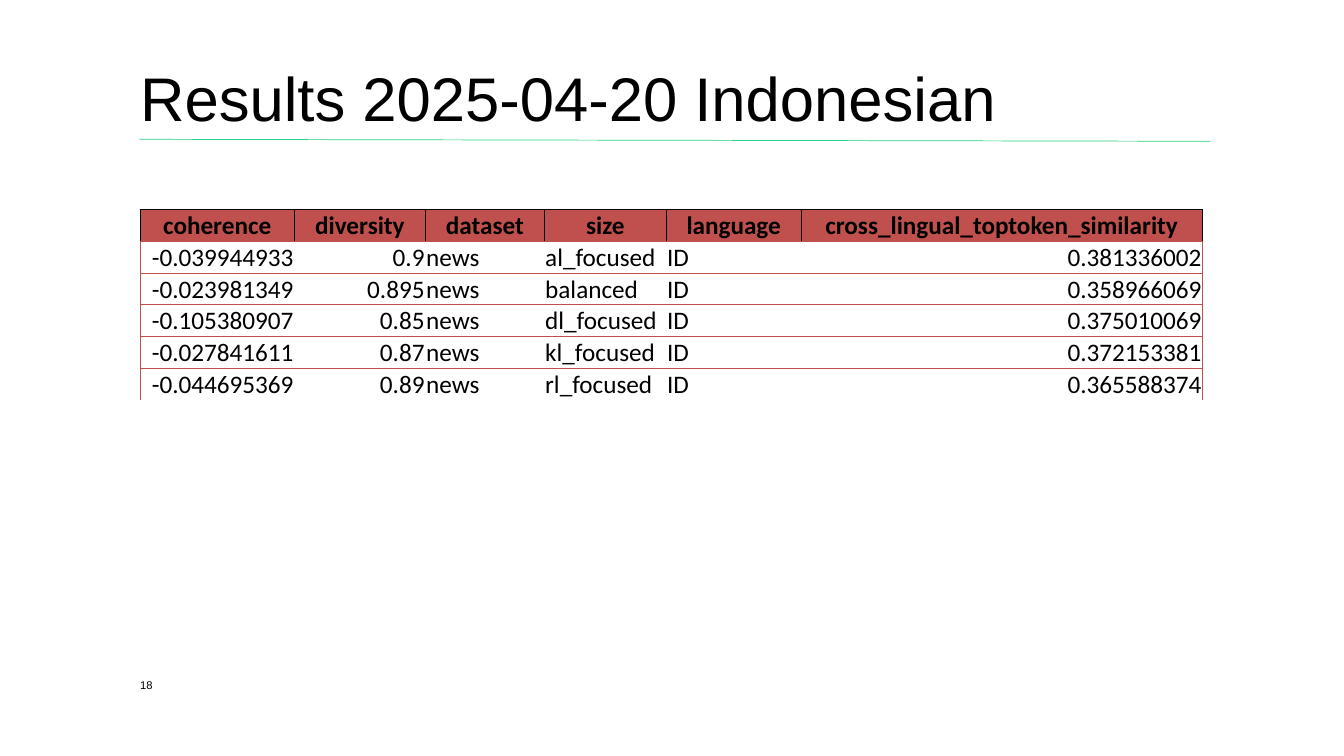
from dataclasses import dataclass

from lxml.etree import SubElement
from pptx import Presentation
from pptx.dml.color import RGBColor
from pptx.enum.shapes import MSO_CONNECTOR
from pptx.enum.text import MSO_ANCHOR, MSO_AUTO_SIZE, PP_ALIGN
from pptx.oxml.ns import qn
from pptx.util import Cm, Pt


@dataclass(frozen=True)
class Theme:
    """Colours, fonts and sizes of the slide."""

    ink: str = "000000"
    rule: str = "26D07C"
    accent: str = "C0504D"
    heading_font: str = "Arial"
    table_font: str = "Calibri"
    title_size: float = 44
    table_size: float = 18
    number_size: float = 8
    line_width: float = 0.5


@dataclass(frozen=True)
class Box:
    """A rectangle in centimetres."""

    left: float
    top: float
    width: float
    height: float

    def lengths(self):
        """Return the four measures as lengths."""
        return Cm(self.left), Cm(self.top), Cm(self.width), Cm(self.height)


THEME = Theme()
NO_STYLE = "{2D5ABB26-0587-4C30-8999-92F81FD0307C}"
COLUMNS = {
    "coherence": 3.89,
    "diversity": 3.3,
    "dataset": 3,
    "size": 3.07,
    "language": 3.4,
    "cross_lingual_toptoken_similarity": 10.11,
}
RIGHT_ALIGNED = {"coherence", "diversity", "cross_lingual_toptoken_similarity"}
RESULTS = [
    ("-0.039944933", "0.9", "news", "al_focused", "ID", "0.381336002"),
    ("-0.023981349", "0.895", "news", "balanced", "ID", "0.358966069"),
    ("-0.105380907", "0.85", "news", "dl_focused", "ID", "0.375010069"),
    ("-0.027841611", "0.87", "news", "kl_focused", "ID", "0.372153381"),
    ("-0.044695369", "0.89", "news", "rl_focused", "ID", "0.365588374"),
]


def write(frame, text, font, size, align=PP_ALIGN.LEFT, bold=False):
    """Fill a text frame with one formatted paragraph."""
    frame.text = text
    para = frame.paragraphs[0]
    para.alignment = align
    for span in para.runs:
        span.font.name = font
        span.font.size = Pt(size)
        span.font.bold = bold
        span.font.color.rgb = RGBColor.from_string(THEME.ink)


def fit_frame(frame):
    """Remove the margins and anchor the text at the bottom."""
    frame.margin_left = frame.margin_top = frame.margin_right = frame.margin_bottom = 0
    frame.vertical_anchor = MSO_ANCHOR.BOTTOM
    frame.auto_size = MSO_AUTO_SIZE.NONE
    frame.word_wrap = True


def add_title(page, box, text):
    """Place the title with the thin rule below it."""
    rule = page.shapes.add_connector(
        MSO_CONNECTOR.STRAIGHT,
        Cm(box.left - 0.02),
        Cm(box.top + 2.49),
        Cm(box.left + box.width),
        Cm(box.top + 2.54),
    )
    rule.line.color.rgb = RGBColor.from_string(THEME.rule)
    rule.line.width = Pt(THEME.line_width)
    SubElement(rule.element.spPr, qn("a:effectLst"))

    title = page.shapes.title
    title.left, title.top, title.width, title.height = box.lengths()
    fit_frame(title.text_frame)
    write(title.text_frame, text, THEME.heading_font, THEME.title_size)
    title.text_frame.paragraphs[0].line_spacing = 0.9


def add_page_number(page, box, text):
    """Place the page number."""
    frame = page.shapes.add_textbox(*box.lengths()).text_frame
    fit_frame(frame)
    write(frame, text, THEME.heading_font, THEME.number_size)


def set_borders(cell, borders):
    """Draw the cell sides named L, R, T and B in the given colours."""
    properties = cell._tc.get_or_add_tcPr()
    for side in "LRTB":
        if side in borders:
            line = SubElement(properties, qn(f"a:ln{side}"), w=str(Pt(THEME.line_width)))
            fill = SubElement(line, qn("a:solidFill"))
            SubElement(fill, qn("a:srgbClr"), val=borders[side])


def body_borders(row, column):
    """Return the sides drawn for a cell below the header."""
    borders = {"T": THEME.accent}
    if row < len(RESULTS):
        borders["B"] = THEME.accent
    if column == 0:
        borders["L"] = THEME.accent
    if column == len(COLUMNS) - 1:
        borders["R"] = THEME.accent
    return borders


def format_cell(cell, text, row, column, name):
    """Write and style one table cell."""
    cell.margin_left = cell.margin_top = cell.margin_right = Cm(0.02)
    cell.margin_bottom = 0
    header = row == 0
    if header:
        align = PP_ALIGN.CENTER
        set_borders(cell, {**dict.fromkeys("LRT", THEME.ink), "B": THEME.accent})
        cell.fill.solid()
        cell.fill.fore_color.rgb = RGBColor.from_string(THEME.accent)
    else:
        align = PP_ALIGN.RIGHT if name in RIGHT_ALIGNED else PP_ALIGN.LEFT
        cell.vertical_anchor = MSO_ANCHOR.BOTTOM
        set_borders(cell, body_borders(row, column))
        cell.fill.background()
    write(cell.text_frame, text, THEME.table_font, THEME.table_size, align, header)


def add_results(page, box):
    """Place the results table in its box."""
    rows = [tuple(COLUMNS), *RESULTS]
    holder = page.shapes.add_table(len(rows), len(COLUMNS), *box.lengths())
    next(holder.element.iter(qn("a:tableStyleId"))).text = NO_STYLE
    table = holder.table
    table.first_row = table.horz_banding = False
    for column, width in zip(table.columns, COLUMNS.values()):
        column.width = Cm(width)
    for row, values in enumerate(rows):
        table.rows[row].height = Cm(box.height / len(rows))
        for column, (name, text) in enumerate(zip(COLUMNS, values)):
            format_cell(table.cell(row, column), text, row, column, name)


def main():
    """Build and save the deck."""
    deck = Presentation()
    deck.slide_width, deck.slide_height = Cm(33.87), Cm(19.05)
    page = deck.slides.add_slide(deck.slide_layouts[5])
    add_title(page, Box(3.53, 1.02, 26.97, 2.39), "Results 2025-04-20 Indonesian")
    add_page_number(page, Box(3.53, 16.76, 1.27, 0.66), "18")
    add_results(page, Box(3.53, 5.28, sum(COLUMNS.values()), 4.8))
    deck.save("out.pptx")


if __name__ == "__main__":
    main()
